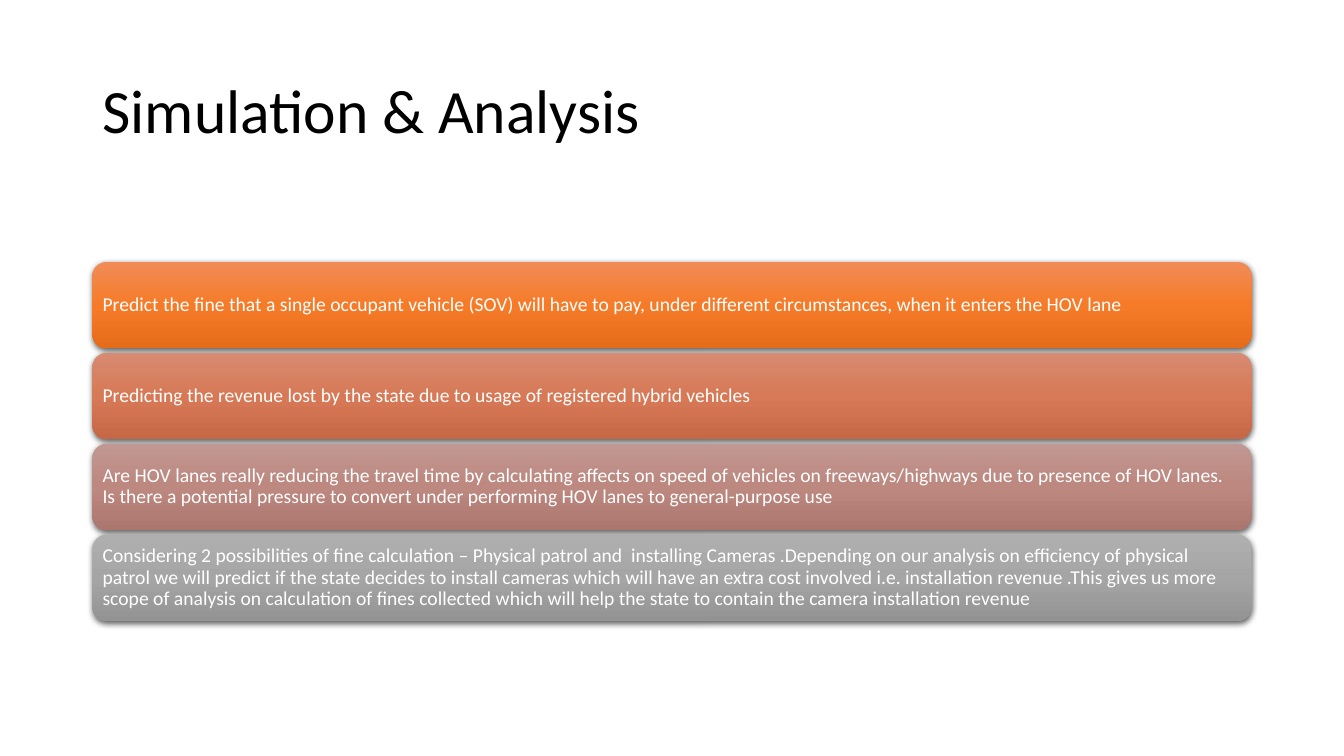
import pptx
import pptx.dml.color
import pptx.enum.shapes
import pptx.enum.text
import pptx.oxml
import pptx.oxml.ns
import pptx.util
from pptx.util import Cm

COLORS = {
    "title": "000000",
    "text": "FFFFFF",
    "shadow": "000000",
    "orange": ("F18C57", "F67B28", "E56C19"),
    "terracotta": ("D78B72", "D77956", "C66846"),
    "rose": ("C19791", "BC8880", "AA766E"),
    "gray": ("AFAFAF", "A5A5A5", "939393"),
}

LEFT, WIDTH = Cm(2.33), Cm(29.21)
FIRST_TOP, BAR_HEIGHT, BAR_PITCH = Cm(6.6), Cm(2.18), Cm(2.29)

TOPICS = [
    ("orange", "Predict the fine that a single occupant vehicle (SOV) will have to pay, "
     "under different circumstances, when it enters the HOV lane"),
    ("terracotta", "Predicting the revenue lost by the state due to usage of "
     "registered hybrid vehicles"),
    ("rose", "Are HOV lanes really reducing the travel time by calculating affects on "
     "speed of vehicles on freeways/highways due to presence of HOV lanes. Is there a "
     "potential pressure to convert under performing HOV lanes to general-purpose use"),
    ("gray", "Considering 2 possibilities of fine calculation – Physical patrol and  "
     "installing Cameras .Depending on our analysis on efficiency of physical patrol we "
     "will predict if the state decides to install cameras which will have an extra cost "
     "involved i.e. installation revenue .This gives us more scope of analysis on "
     "calculation of fines collected which will help the state to contain the camera "
     "installation revenue"),
]


class SlideBuilder:
    """Holds the text style and the current slide."""

    font_name = "Calibri"
    line_spacing = 0.9

    def __init__(self, slide):
        """Keep the slide to draw on."""
        self.slide = slide

    def set_text(self, frame, text, size, color):
        """Put one left-aligned, vertically centred paragraph into a frame."""
        frame.text = text
        frame.word_wrap = True
        frame.auto_size = pptx.enum.text.MSO_AUTO_SIZE.NONE
        frame.vertical_anchor = pptx.enum.text.MSO_ANCHOR.MIDDLE
        paragraph = frame.paragraphs[0]
        paragraph.alignment = pptx.enum.text.PP_ALIGN.LEFT
        paragraph.line_spacing = self.line_spacing
        paragraph.font.name = self.font_name
        paragraph.font.size = pptx.util.Pt(size)
        paragraph.font.color.rgb = pptx.dml.color.RGBColor.from_string(COLORS[color])

    def title(self, text):
        """Move and fill the title placeholder."""
        heading = self.slide.shapes.title
        heading.left, heading.top = LEFT, Cm(1.01)
        heading.width, heading.height = WIDTH, Cm(3.68)
        self.set_text(heading.text_frame, text, 44, "title")

    def bar(self, top, color, text):
        """Draw a rounded bar with gradient, shadow and text."""
        bar = self.slide.shapes.add_shape(
            pptx.enum.shapes.MSO_SHAPE.ROUNDED_RECTANGLE, LEFT, top, WIDTH, BAR_HEIGHT)
        bar.line.fill.background()
        self.gradient(bar, COLORS[color])
        self.shadow(bar)
        frame = bar.text_frame
        frame.margin_left = frame.margin_right = Cm(0.15)
        frame.margin_top = frame.margin_bottom = Cm(0.15)
        self.set_text(frame, text, 14, "text")

    def gradient(self, shape, stops):
        """Fill a shape from top to bottom with evenly spaced colours."""
        step = 100000 // (len(stops) - 1)
        stop_xml = "".join(
            f'<a:gs pos="{i * step}"><a:srgbClr val="{stop}"/></a:gs>'
            for i, stop in enumerate(stops))
        fill = pptx.oxml.parse_xml(
            f'<a:gradFill {pptx.oxml.ns.nsdecls("a")} rotWithShape="1">'
            f'<a:gsLst>{stop_xml}</a:gsLst><a:lin ang="5400000" scaled="0"/></a:gradFill>')
        outline = shape._element.spPr.find(pptx.oxml.ns.qn("a:ln"))
        outline.addprevious(fill)

    def shadow(self, shape):
        """Give a shape a soft shadow just below it."""
        blur, distance = pptx.util.Pt(4.5), pptx.util.Pt(1.5)
        shape._element.spPr.append(pptx.oxml.parse_xml(
            f'<a:effectLst {pptx.oxml.ns.nsdecls("a")}>'
            f'<a:outerShdw blurRad="{blur}" dist="{distance}" dir="5400000" '
            f'algn="ctr" rotWithShape="0"><a:srgbClr val="{COLORS["shadow"]}">'
            '<a:alpha val="63000"/></a:srgbClr></a:outerShdw></a:effectLst>'))


def main():
    """Build and save the slide."""
    deck = pptx.Presentation()
    deck.slide_width, deck.slide_height = Cm(33.87), Cm(19.05)
    title_only = deck.slide_layouts[5]
    builder = SlideBuilder(deck.slides.add_slide(title_only))
    builder.title("Simulation & Analysis")
    for row, (color, topic) in enumerate(TOPICS):
        builder.bar(FIRST_TOP + row * BAR_PITCH, color, topic)
    deck.save("out.pptx")


main()
